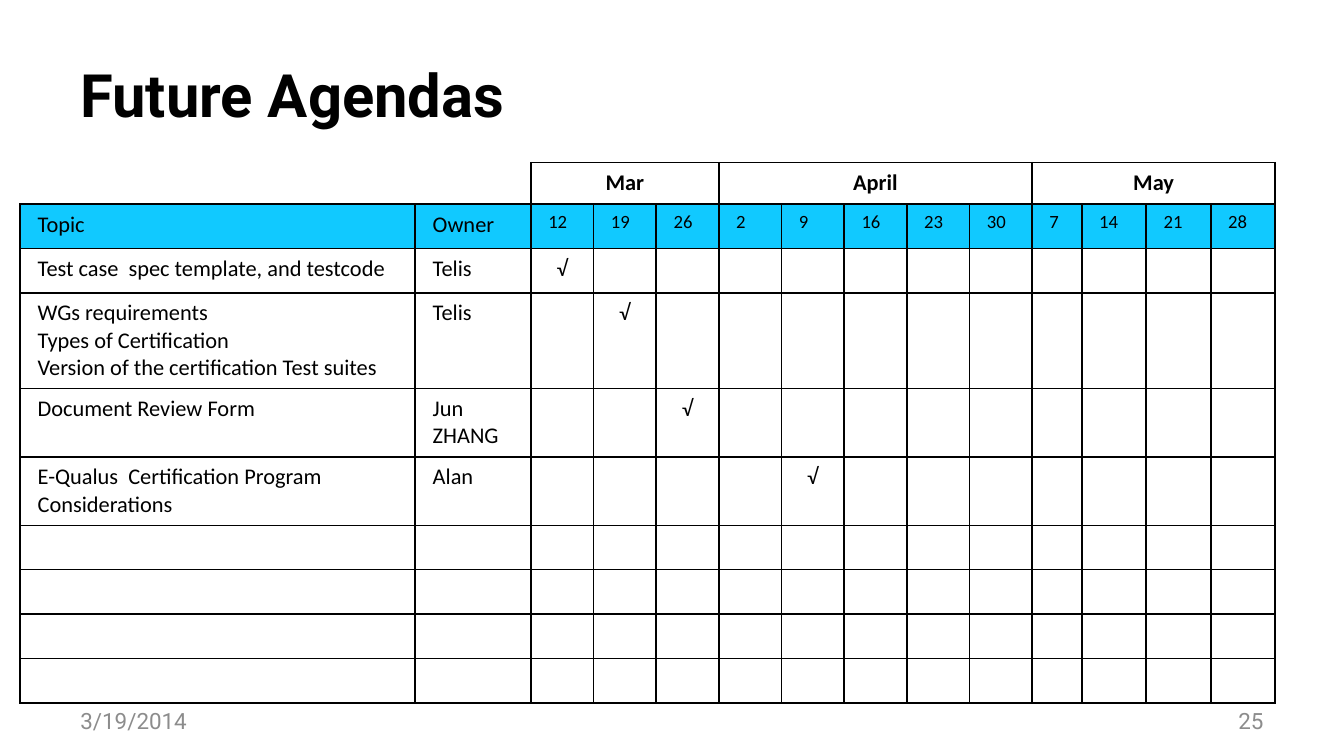
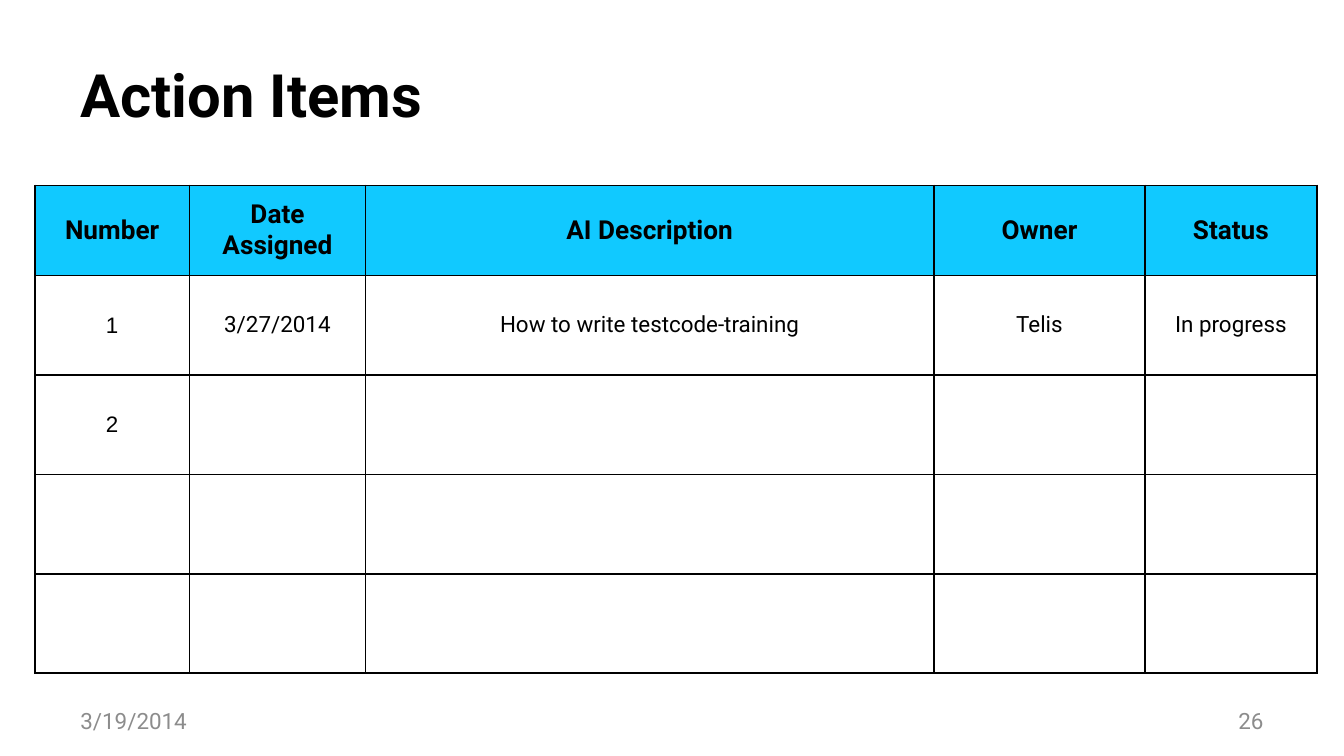
from lxml import etree
from pptx import Presentation
from pptx import util as u
from pptx.dml.color import RGBColor
from pptx.enum import text
from pptx.oxml.ns import qn

BLACK, WHITE, GREY, CYAN = "000000", "FFFFFF", "8C8C8C", "11C9FF"
LEFT, CENTER, RIGHT = text.PP_ALIGN.LEFT, text.PP_ALIGN.CENTER, text.PP_ALIGN.RIGHT
TOP, MIDDLE = text.MSO_ANCHOR.TOP, text.MSO_ANCHOR.MIDDLE


def write(frame, words, size, font="Roboto", color=BLACK, bold=False, align=LEFT):
    """Fill a text frame, one paragraph per line of words."""
    frame.word_wrap = True
    for index, line in enumerate(words.split("\n")):
        para = frame.add_paragraph() if index else frame.paragraphs[0]
        para.alignment = align
        para.font.size = u.Pt(size)
        para.font.name = font
        para.font.bold = bold
        para.font.color.rgb = RGBColor.from_string(color)
        if line:
            para.add_run().text = line
        else:
            # An empty cell takes its height from the end mark
            etree.SubElement(para._p, qn("a:endParaRPr"), sz=str(size * 100))


def style_cell(cell, fill=None, anchor=TOP, edges="LRTB"):
    """Set margins, fill and the black borders named in edges."""
    cell.margin_left = cell.margin_right = u.Inches(0.13)
    cell.margin_top = cell.margin_bottom = u.Inches(0.05)
    cell.vertical_anchor = anchor
    properties = cell._tc.get_or_add_tcPr()
    for edge in "LRTB":
        line = etree.SubElement(properties, qn(f"a:ln{edge}"), w=str(u.Pt(1)))
        if edge in edges:
            solid = etree.SubElement(line, qn("a:solidFill"))
            etree.SubElement(solid, qn("a:srgbClr"), val=BLACK)
        else:
            etree.SubElement(line, qn("a:noFill"))
    if fill:
        cell.fill.solid()
        cell.fill.fore_color.rgb = RGBColor.from_string(fill)
    else:
        cell.fill.background()


# A 16:9 deck
deck = Presentation()
deck.slide_width = u.Inches(10)
deck.slide_height = u.Inches(10 * 9 / 16)

# Pages: title, footer and an empty grid
agenda_columns = [2.94, 0.86] + [3.73 / 8] * 8 + [0.37] + [0.48] * 3
agenda_rows = [0.31, 0.33, 0.33, 0.71, 0.51, 0.51] + [0.33] * 4
action_columns = [1.15, 1.31, 4.23, 1.57, 1.28]
action_rows = [0.67] + [0.74] * 4
pages = [
    ("Future Agendas", "25", 0.15, 1.21, agenda_columns, agenda_rows),
    ("Action Items", "26", 0.26, 1.38, action_columns, action_rows),
]
grids = []
for title, number, left, top, widths, heights in pages:
    page = deck.slides.add_slide(deck.slide_layouts[6])
    for words, place, size, color, bold, align in [
        (title, (0.5, 0.23, 9, 0.94), 32, BLACK, True, LEFT),
        ("3/19/2014", (0.5, 5.21, 2.33, 0.3), 12, GREY, False, LEFT),
        (number, (7.17, 5.21, 2.33, 0.3), 12, GREY, False, RIGHT),
    ]:
        box = page.shapes.add_textbox(*map(u.Inches, place))
        box.text_frame.vertical_anchor = MIDDLE
        write(box.text_frame, words, size, color=color, bold=bold, align=align)
    grid = page.shapes.add_table(
        len(heights), len(widths), u.Inches(left), u.Inches(top),
        u.Inches(sum(widths)), u.Inches(sum(heights))).table
    grid.first_row = grid.horz_banding = False
    for column, width in zip(grid.columns, widths):
        column.width = u.Inches(width)
    for row, height in zip(grid.rows, heights):
        row.height = u.Inches(height)
    grids.append(grid)
agenda, actions = grids

# Agenda: months over their meeting days, then topics with a tick on one day
months = [("Mar", [12, 19, 26]), ("April", [2, 9, 16, 23, 30]), ("May", [7, 14, 21, 28])]
days = [day for _, month_days in months for day in month_days]
topics = [
    ("Test case  spec template, and testcode", "Telis", 12),
    ("WGs requirements\nTypes of Certification\nVersion of the certification Test suites",
     "Telis", 19),
    ("Document Review Form", "Jun ZHANG", 26),
    ("E-Qualus  Certification Program Considerations", "Alan", 9),
]
month_row = ["", ""]
for month, month_days in months:
    start = len(month_row)
    month_row += [month] + [""] * (len(month_days) - 1)
    agenda.cell(0, start).merge(agenda.cell(0, len(month_row) - 1))
agenda_text = [month_row, ["Topic", "Owner"] + [str(day) for day in days]]
for topic, owner, tick_day in topics:
    agenda_text.append([topic, owner] + ["√" if day == tick_day else "" for day in days])
agenda_text += [[""] * len(agenda_columns)] * (len(agenda_rows) - len(agenda_text))

for r, row_text in enumerate(agenda_text):
    for c, words in enumerate(row_text):
        cell = agenda.cell(r, c)
        fill = {0: WHITE, 1: CYAN}.get(r)
        if r == 0 and c < 2:
            style_cell(cell, edges=("B", "RB")[c])
        else:
            style_cell(cell, fill)
        centered = r == 0 or (r > 1 and c > 1)
        write(cell.text_frame, words, 10 if r == 1 and c > 1 else 12, "Calibri",
              bold=r == 0, align=CENTER if centered else LEFT)

# Action items: one header row, the rest filled as far as known
action_text = [
    ["Number", "Date Assigned", "AI Description", "Owner", "Status"],
    ["1", "3/27/2014", "How to write testcode-training", "Telis", "In progress"],
    ["2", "", "", "", ""],
    [""] * 5,
    [""] * 5,
]
for r, row_text in enumerate(action_text):
    for c, words in enumerate(row_text):
        cell, header = actions.cell(r, c), r == 0
        style_cell(cell, CYAN if header else None, MIDDLE)
        write(cell.text_frame, words, 14 if header else 12,
              "Arial" if c == 0 and not header else "Roboto", bold=header, align=CENTER)

deck.save("out.pptx")
